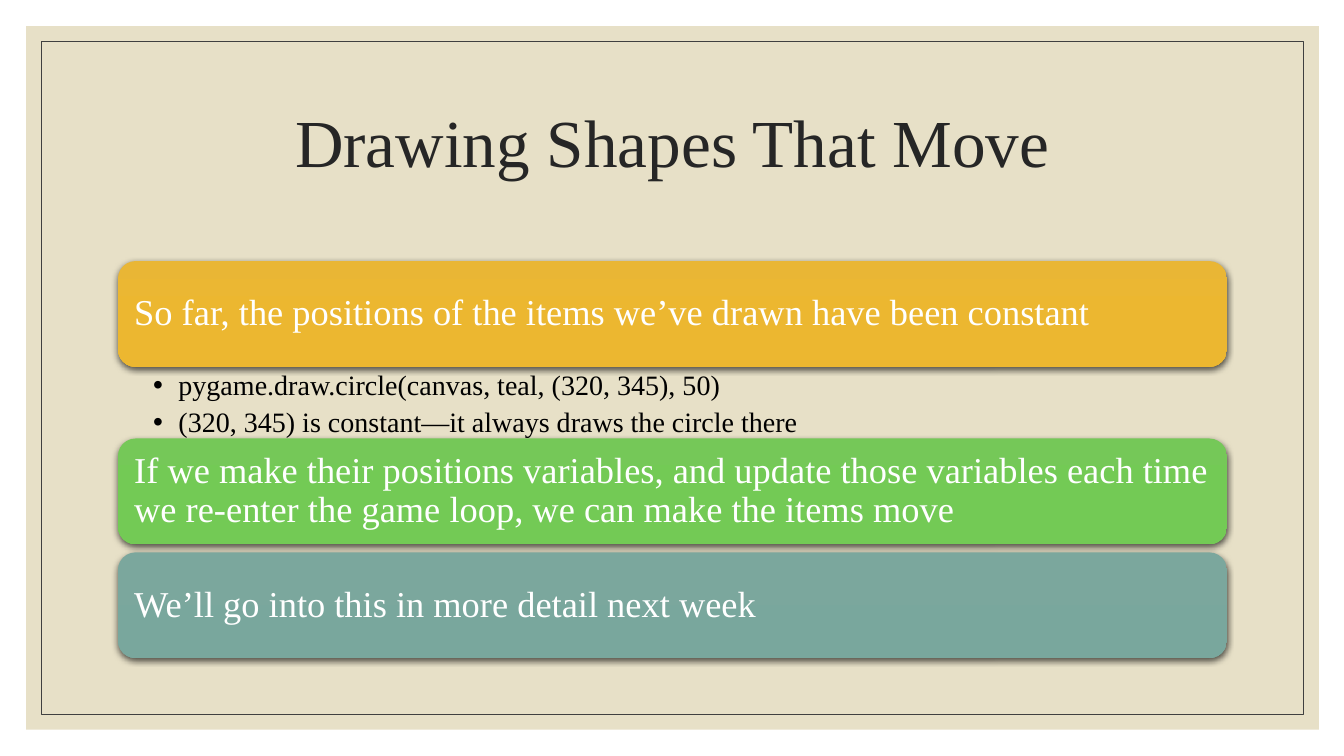
"""Build the slide on drawing shapes that move."""
from copy import deepcopy
from dataclasses import dataclass

from lxml.etree import SubElement as Sub
from pptx import Presentation
from pptx.dml.color import RGBColor as RGB
from pptx.enum.shapes import MSO_SHAPE as SHAPE
from pptx.enum.text import MSO_ANCHOR as ANCHOR, PP_ALIGN as ALIGN
from pptx.oxml.ns import qn
from pptx.util import Emu, Pt

TITLE = "Drawing Shapes That Move"
CARDS = [
    ("So far, the positions of the items we’ve drawn have been constant",
     ("E9B635", "ECB730", "EBB630")),
    ("If we make their positions variables, and update those variables "
     "each time we re-enter the game loop, we can make the items move",
     ("75C858", "73CA55", "72C955")),
    ("We’ll go into this in more detail next week",
     ("7BA79D", "79A79D", "79A79C")),
]
POINTS = [
    "pygame.draw.circle(canvas, teal, (320, 345), 50)",
    "(320, 345) is constant—it always draws the circle there",
]


@dataclass(frozen=True)
class Theme:
    """Hold the colours, font and type sizes."""
    font: str = "Times New Roman"
    paper: str = "E7E0C7"
    frame: str = "404040"
    dark: str = "262626"
    black: str = "000000"
    white: str = "FFFFFF"
    head: int = 48
    card: int = 26
    point: int = 20


LOOK = Theme()
WIDE, HIGH = 1333, 750
LEFT, TOP, SPAN = 117, 259, 1100
CARD, GAP, LIST = 105, 8, 71


def px(num):
    """Turn px into EMU."""
    return Emu(num * 9144)


def rgb(code):
    """Turn a hex code into a colour."""
    return RGB.from_string(code)


def write(shape, lines, *, size, color, align=ALIGN.LEFT, anchor=ANCHOR.MIDDLE,
          inset=(11, 11, 11, 11), bullet=False, after=0):
    """Put lines of text into a shape."""
    frame = shape.text_frame
    frame.word_wrap = True
    frame.vertical_anchor = anchor
    (frame.margin_left, frame.margin_top,
     frame.margin_right, frame.margin_bottom) = map(px, inset)
    for i, line in enumerate(lines):
        para = frame.add_paragraph() if i else frame.paragraphs[0]
        if bullet:
            props = para._p.get_or_add_pPr()
            props.set("marL", str(px(25)))
            props.set("indent", str(px(-25)))
            Sub(props, qn("a:buFont"), typeface="Arial")
            Sub(props, qn("a:buChar"), char="•")
        para.alignment = align
        para.line_spacing = 0.9
        para.space_after = Pt(after)
        run = para.add_run()
        run.text = line
        run.font.name = LOOK.font
        run.font.size = Pt(size)
        run.font.color.rgb = rgb(color)


def shade(shape, tones):
    """Fill a shape with an even gradient from top to bottom."""
    fill = shape.fill
    fill.gradient()
    fill.gradient_angle = 270
    stops = shape._element.spPr.find(".//" + qn("a:gsLst"))
    stops.insert(1, deepcopy(stops[0]))
    for i, (stop, tone) in enumerate(zip(fill.gradient_stops, tones)):
        stop.position = i / (len(tones) - 1)
        stop.color.rgb = rgb(tone)


def drop(shape):
    """Give a shape a soft shadow below it."""
    glow = Sub(shape._element.spPr.find(qn("a:effectLst")), qn("a:outerShdw"),
               blurRad=str(Pt(4.5)), dist=str(Pt(1.5)), dir="5400000",
               algn="ctr", rotWithShape="0")
    tint = Sub(glow, qn("a:srgbClr"), val=LOOK.black)
    Sub(tint, qn("a:alpha"), val="63000")


def block(slide, kind, *box):
    """Add a shape with no line and no shadow."""
    shape = slide.shapes.add_shape(kind, *map(px, box))
    shape.shadow.inherit = False
    shape.line.fill.background()
    return shape


def label(slide, box, lines, **form):
    """Add a text box."""
    write(slide.shapes.add_textbox(*map(px, box)), lines, **form)


def main():
    """Draw the slide and save it."""
    deck = Presentation()
    deck.slide_width, deck.slide_height = px(WIDE), px(HIGH)
    slide = deck.slides.add_slide(deck.slide_layouts[6])

    paper = block(slide, SHAPE.RECTANGLE, 26, 26, 1282, 698)
    paper.fill.solid()
    paper.fill.fore_color.rgb = rgb(LOOK.paper)
    frame = block(slide, SHAPE.RECTANGLE, 41, 41, 1252, 668)
    frame.fill.background()
    frame.line.color.rgb = rgb(LOOK.frame)
    frame.line.width = Pt(0.5)

    label(slide, (LEFT, 70, SPAN, 150), [TITLE], size=LOOK.head,
          color=LOOK.dark, align=ALIGN.CENTER)

    top = TOP
    for i, (text, tones) in enumerate(CARDS):
        card = block(slide, SHAPE.ROUNDED_RECTANGLE, LEFT, top, SPAN, CARD)
        shade(card, tones)
        drop(card)
        write(card, [text], size=LOOK.card, color=LOOK.white)
        top += CARD
        if i == 0:
            label(slide, (LEFT, top, SPAN, LIST), POINTS, size=LOOK.point,
                  color=LOOK.black, anchor=ANCHOR.TOP,
                  inset=(35, 4, 20, 4), bullet=True, after=5)
            top += LIST
        else:
            top += GAP

    deck.save("out.pptx")


if __name__ == "__main__":
    main()
